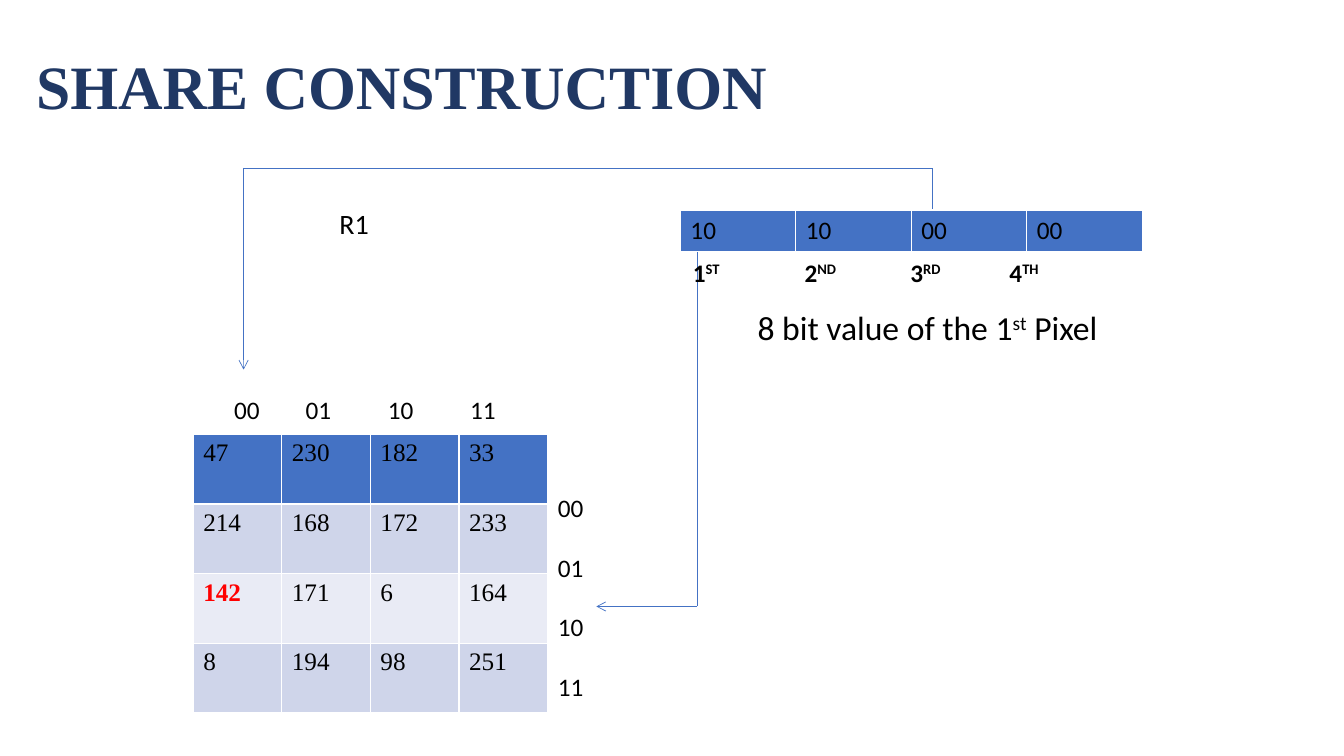
from itertools import pairwise

from lxml.etree import SubElement
from pptx import Presentation
from pptx.dml.color import RGBColor
from pptx.enum.shapes import MSO_CONNECTOR
from pptx.enum.text import MSO_ANCHOR, MSO_AUTO_SIZE, PP_ALIGN
from pptx.oxml.ns import qn
from pptx.util import Inches, Pt

COLORS = {
    "title": "203864",
    "text": "000000",
    "marked": "FF0000",
    "header": "4472C4",
    "dark band": "CFD5EA",
    "light band": "E9EBF5",
}
SERIF = "Times New Roman"
SANS = "Calibri"
SLIDE_WIDTH, SLIDE_HEIGHT = Inches(13.33), Inches(7.5)
COLUMN, ROW = SLIDE_WIDTH / 160, SLIDE_HEIGHT / 90

MATRIX = [
    ["47", "230", "182", "33"],
    ["214", "168", "172", "233"],
    ["142", "171", "6", "164"],
    ["8", "194", "98", "251"],
]
MATRIX_BANDS = ["header", "dark band", "light band", "dark band"]
MARKED_VALUE = "142"
PIXEL_BITS = [["10", "10", "00", "00"]]
INDEXES = ["00", "01", "10", "11"]
ORDINALS = ["ST", "ND", "RD", "TH"]


def place(box):
    left, top, width, height = box
    return [round(v) for v in (left * COLUMN, top * ROW, width * COLUMN, height * ROW)]


def move(shape, box):
    shape.left, shape.top, shape.width, shape.height = place(box)


def style(span, size, font=SANS, color="text", bold=False):
    span.font.size = Pt(size)
    span.font.name = font
    span.font.bold = bold
    span.font.color.rgb = RGBColor.from_string(COLORS[color])


def add_label(page, box, pieces, size, bold=False):
    frame = page.shapes.add_textbox(*place(box)).text_frame
    frame.word_wrap = False
    for text, raised in pieces:
        span = frame.paragraphs[0].add_run()
        span.text = text
        style(span, size, bold=bold)
        if raised:
            span._r.get_or_add_rPr().set("baseline", "30000")


def fill_title(page, box):
    title = page.shapes.title
    move(title, box)
    frame = title.text_frame
    frame.text = "SHARE CONSTRUCTION"
    frame.vertical_anchor = MSO_ANCHOR.MIDDLE
    para = frame.paragraphs[0]
    para.alignment = PP_ALIGN.LEFT
    para.line_spacing = 0.9
    style(para.runs[0], 44, SERIF, "title", True)


def fill_row_labels(page, box):
    body = page.placeholders[1]
    move(body, box)
    frame = body.text_frame
    frame.auto_size = MSO_AUTO_SIZE.NONE
    frame.vertical_anchor = MSO_ANCHOR.TOP
    frame.text = "\n".join(["R1"] + INDEXES)
    indents = [13.2] + [39.2] * 4
    gaps = [0, 180] + [21] * 3
    for para, indent, gap in zip(frame.paragraphs, indents, gaps):
        para.line_spacing = 1.0
        para.space_before = Pt(gap)
        para.space_after = Pt(0)
        properties = para._p.get_or_add_pPr()
        properties.set("marL", str(round(indent * COLUMN)))
        properties.set("indent", "0")
        SubElement(properties, qn("a:buNone"))
        style(para.runs[0], 20 if para.text == "R1" else 18)


def add_grid(page, box, values, bands, font):
    frame = page.shapes.add_table(len(values), len(values[0]), *place(box))
    for row, (texts, band) in enumerate(zip(values, bands)):
        for column, text in enumerate(texts):
            cell = frame.table.cell(row, column)
            cell.fill.solid()
            cell.fill.fore_color.rgb = RGBColor.from_string(COLORS[band])
            cell.text = text
            marked = text == MARKED_VALUE
            style(cell.text_frame.paragraphs[0].runs[0], 18, font,
                  "marked" if marked else "text", marked)


def add_matrix(page, box):
    left, top, _, _ = box
    add_grid(page, box, MATRIX, MATRIX_BANDS, SERIF)
    for index, offset in zip(INDEXES, [3.7, 12.2, 22, 31.8]):
        add_label(page, (left + offset, top - 5.3, 5.5, 4.9), [(index, False)], 18)


def add_route(page, points):
    for start, end in pairwise(points):
        ends = [round(v) for x, y in (start, end) for v in (x * COLUMN, y * ROW)]
        line = page.shapes.add_connector(MSO_CONNECTOR.STRAIGHT, *ends)
        line.line.width = Pt(0.5)
        line.line.color.rgb = RGBColor.from_string(COLORS["header"])
        if end == points[-1]:
            SubElement(line.line._get_or_add_ln(), qn("a:tailEnd"), type="arrow")
        SubElement(line._element.spPr, qn("a:effectLst"))


def add_pixel(page, box):
    left, top, _, height = box
    add_grid(page, box, PIXEL_BITS, ["header"], SANS)
    add_label(page, (left + 8, top + 11, 43.5, 6.1),
              [("8 bit value of the 1", False), ("st", True), (" Pixel", False)], 24)
    offsets = [0.3, 13.6, 26.2, 38]
    for number, (suffix, offset) in enumerate(zip(ORDINALS, offsets), 1):
        add_label(page, (left + offset, top + 5, 6.2, height),
                  [(str(number), False), (suffix, True)], 18, True)


def main():
    deck = Presentation()
    deck.slide_width, deck.slide_height = SLIDE_WIDTH, SLIDE_HEIGHT
    page = deck.slides.add_slide(deck.slide_layouts[1])
    fill_title(page, (3.1, 2.8, 108.2, 15.6))
    fill_row_labels(page, (26, 24, 57, 60))
    add_matrix(page, (23, 51.7, 42.2, 33.2))
    add_route(page, [(111, 25), (111, 20), (29, 20), (29, 44)])
    add_route(page, [(83, 30), (83, 72.2), (71, 72.2)])
    add_pixel(page, (81, 25, 55, 4.9))
    deck.save("out.pptx")


if __name__ == "__main__":
    main()
